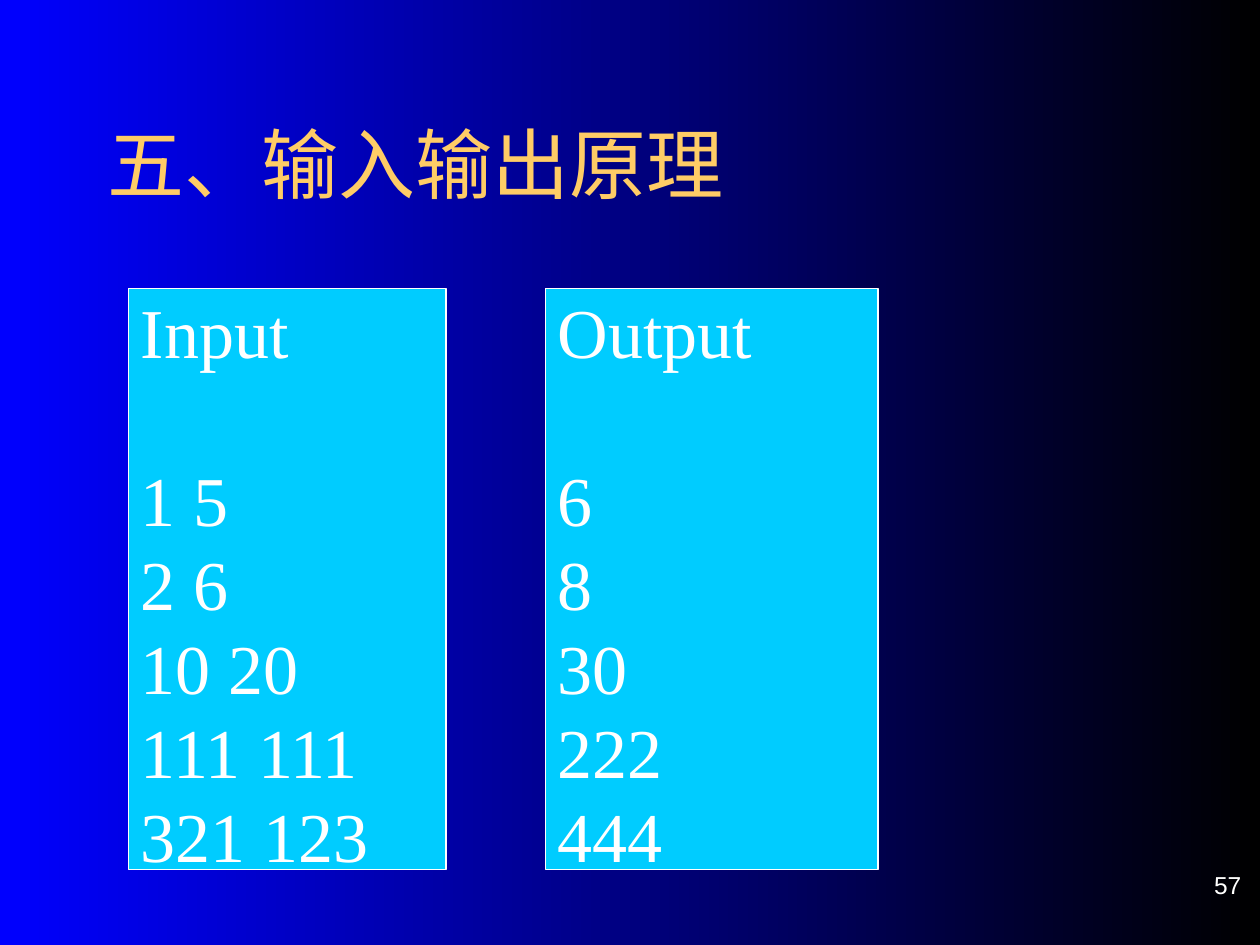
import pptx
import pptx.dml.color
import pptx.enum.shapes
import pptx.enum.text
import pptx.util
from pptx.util import Inches, Pt

RGBColor = pptx.dml.color.RGBColor
ANCHOR = pptx.enum.text.MSO_ANCHOR
ALIGN = pptx.enum.text.PP_ALIGN

BLUE = RGBColor(0x00, 0x00, 0xFF)
BLACK = RGBColor(0x00, 0x00, 0x00)
WHITE = RGBColor(0xFF, 0xFF, 0xFF)
GOLD = RGBColor(0xFF, 0xCC, 0x66)
CYAN = RGBColor(0x00, 0xCC, 0xFF)


class SlideBuilder:
    """Holds the slide and its style, and adds each kind of element."""

    heading_font = "Arial"
    sample_font = "Times New Roman"
    sample_size = Pt(40)
    sample_pitch = Pt(48)

    def __init__(self, deck):
        self.slide = deck.slides.add_slide(deck.slide_layouts[5])

    def background(self, start, end):
        fill = self.slide.background.fill
        fill.gradient()
        fill.gradient_angle = 0
        for stop, color, position in zip(fill.gradient_stops, (start, end), (0, 1)):
            stop.color.rgb = color
            stop.position = position

    def style(self, para, font, size, color, align):
        para.font.name = font
        para.font.size = size
        para.font.color.rgb = color
        para.alignment = align

    def title(self, text, left, top, width, height):
        title = self.slide.shapes.title
        title.left, title.top = Inches(left), Inches(top)
        title.width, title.height = Inches(width), Inches(height)
        title.text_frame.text = text
        title.text_frame.vertical_anchor = ANCHOR.MIDDLE
        self.style(title.text_frame.paragraphs[0], self.heading_font, Pt(44), GOLD, ALIGN.LEFT)

    def page_number(self, text, left, top, width, height):
        box = self.slide.shapes.add_textbox(
            Inches(left), Inches(top), Inches(width), Inches(height))
        frame = box.text_frame
        frame.word_wrap = True
        frame.vertical_anchor = ANCHOR.BOTTOM
        frame.margin_top = frame.margin_bottom = 0
        frame.text = text
        self.style(frame.paragraphs[0], self.heading_font, Pt(14), WHITE, ALIGN.RIGHT)

    def sample_panel(self, heading, lines, left, top, width, height):
        panel = self.slide.shapes.add_shape(
            pptx.enum.shapes.MSO_SHAPE.RECTANGLE,
            Inches(left), Inches(top), Inches(width), Inches(height))
        panel.shadow.inherit = False
        panel.fill.solid()
        panel.fill.fore_color.rgb = CYAN
        panel.line.color.rgb = WHITE
        panel.line.width = Pt(0.75)
        frame = panel.text_frame
        frame.word_wrap = True
        frame.vertical_anchor = ANCHOR.TOP
        frame.margin_top = frame.margin_bottom = 0
        frame.text = "\n".join([heading, *lines])
        for para in frame.paragraphs:
            self.style(para, self.sample_font, self.sample_size, WHITE, ALIGN.LEFT)
            para.line_spacing = self.sample_pitch
        frame.paragraphs[0].space_after = self.sample_pitch


def main():
    deck = pptx.Presentation()
    deck.slide_width, deck.slide_height = Inches(10), Inches(7.5)
    builder = SlideBuilder(deck)
    builder.background(BLUE, BLACK)
    builder.page_number("57", 7.87, 6.72, 2.08, 0.42)
    builder.title("五、输入输出原理", 0.75, 0.67, 8.84, 1.25)
    pairs = [(1, 5), (2, 6), (10, 20), (111, 111), (321, 123)]
    inputs = [f"{first} {second}" for first, second in pairs]
    outputs = [str(first + second) for first, second in pairs]
    builder.sample_panel("Input", inputs, 1.02, 2.29, 2.52, 4.61)
    builder.sample_panel("Output", outputs, 4.33, 2.29, 2.64, 4.61)
    deck.save("out.pptx")


if __name__ == "__main__":
    main()
